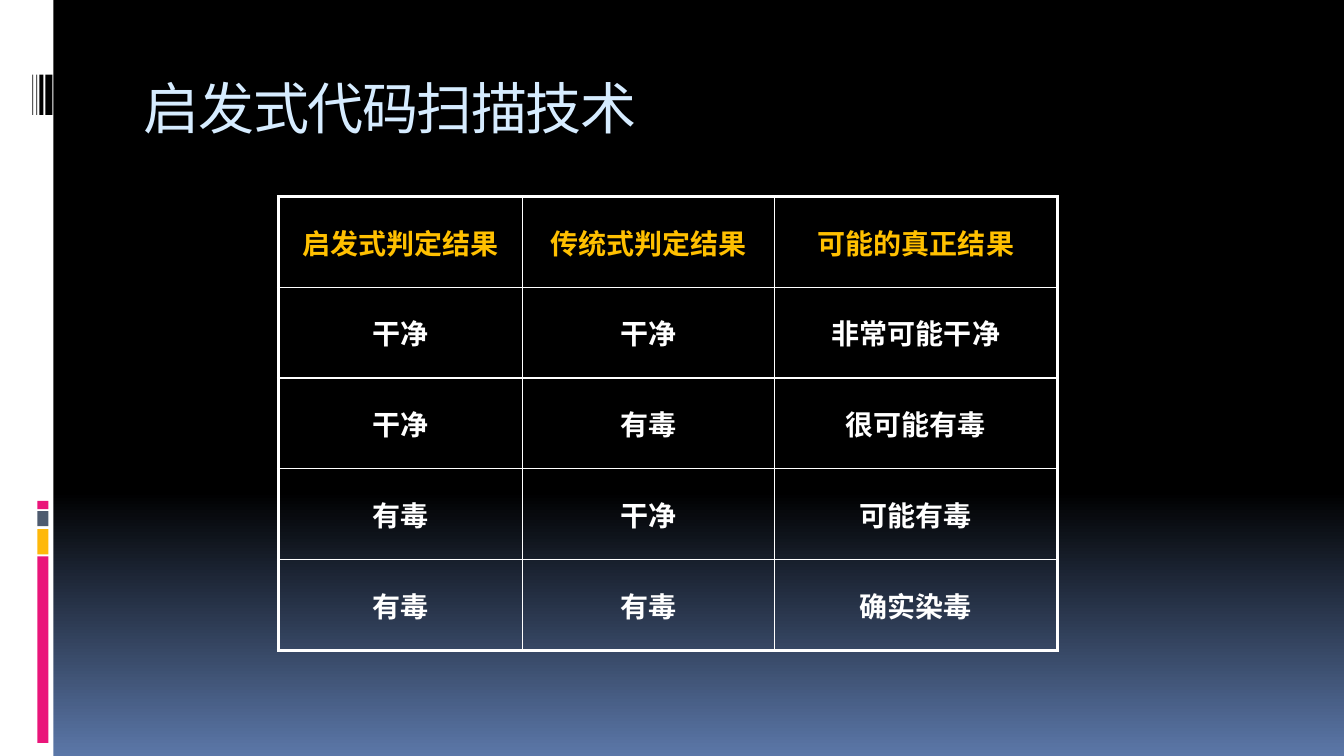
from lxml.etree import SubElement
from pptx import Presentation
from pptx.dml.color import RGBColor
from pptx.enum.shapes import MSO_SHAPE
from pptx.enum.text import MSO_ANCHOR, PP_ALIGN
from pptx.oxml.ns import qn
from pptx.util import Inches, Pt

COLORS = {
    "black": "000000",
    "white": "FFFFFF",
    "blue": "5B77A8",
    "pink": "EA157A",
    "amber": "FEB80A",
    "slate": "4E5B6F",
    "title": "D6ECFF",
    "header": "FFC000",
}


def color(name):
    return RGBColor.from_string(COLORS[name])


def add_border(cell, side, points):
    line = SubElement(cell._tc.get_or_add_tcPr(), qn(f"a:ln{side}"), w=str(Pt(points)))
    fill = SubElement(line, qn("a:solidFill"))
    SubElement(fill, qn("a:srgbClr"), val=COLORS["white"])


deck = Presentation()
deck.slide_width, deck.slide_height = Inches(13.33), Inches(7.5)
page = deck.slides.add_slide(deck.slide_layouts[6])

# Background: black down to 65 %, then fading to blue
background = page.background.fill
background.gradient()
background.gradient_angle = 270
for stop, (position, name) in zip(background.gradient_stops, [(0.65, "black"), (1, "blue")]):
    stop.position = position
    stop.color.rgb = color(name)

# Side strip with coloured blocks and barcode
strip_parts = [
    (0, 0, 0.53, 7.5, "white"),
    (0.37, 5.52, 0.11, 1.85, "pink"),
    (0.37, 5.25, 0.11, 0.25, "amber"),
    (0.37, 5.07, 0.11, 0.15, "slate"),
    (0.37, 4.97, 0.11, 0.08, "pink"),
    (0.45, 0.74, 0.07, 0.4, "black"),
    (0.39, 0.74, 0.04, 0.4, "black"),
    (0.36, 0.74, 0.01, 0.4, "black"),
    (0.32, 0.74, 0.01, 0.4, "black"),
]
for *place, name in strip_parts:
    part = page.shapes.add_shape(MSO_SHAPE.RECTANGLE, *map(Inches, place))
    part.shadow.inherit = False
    part.fill.solid()
    part.fill.fore_color.rgb = color(name)
    part.line.fill.background()

# Title
title = page.shapes.add_textbox(Inches(1.33), Inches(0.56), Inches(11.33), Inches(1))
title.text_frame.word_wrap = True
title.text_frame.vertical_anchor = MSO_ANCHOR.MIDDLE
para = title.text_frame.paragraphs[0]
span = para.add_run()
span.text = "启发式代码扫描技术"
span.font.name = "Noto Sans Mono"
span.font.size = Pt(40)
span.font.color.rgb = color("title")
span.font._element.set("spc", "-100")

# Table of verdicts
verdicts = [
    ["启发式判定结果", "传统式判定结果", "可能的真正结果"],
    ["干净", "干净", "非常可能干净"],
    ["干净", "有毒", "很可能有毒"],
    ["有毒", "干净", "可能有毒"],
    ["有毒", "有毒", "确实染毒"],
]
column_widths = [2.42, 2.5, 2.81]
last_row, last_column = len(verdicts) - 1, len(column_widths) - 1
table = page.shapes.add_table(
    len(verdicts), len(column_widths),
    Inches(2.76), Inches(1.95), Inches(sum(column_widths)), Inches(4.5),
).table
table.first_row = table.horz_banding = False
for column, width in zip(table.columns, column_widths):
    column.width = Inches(width)

for row, texts in enumerate(verdicts):
    for column, text in enumerate(texts):
        cell = table.cell(row, column)
        cell.text = text
        cell.vertical_anchor = MSO_ANCHOR.MIDDLE
        para = cell.text_frame.paragraphs[0]
        para.alignment = PP_ALIGN.CENTER
        para.font.name = "Arial"
        para.font.size = Pt(20)
        para.font.bold = True
        para.font.color.rgb = color("header" if row == 0 else "white")

        # Thick outer frame, thin inner rules
        outer_sides = {
            "L": column == 0,
            "R": column == last_column,
            "T": row == 0,
            "B": row == last_row,
        }
        for side, outer in outer_sides.items():
            add_border(cell, side, 2.25 if outer else 1)
        cell.fill.background()

deck.save("out.pptx")
